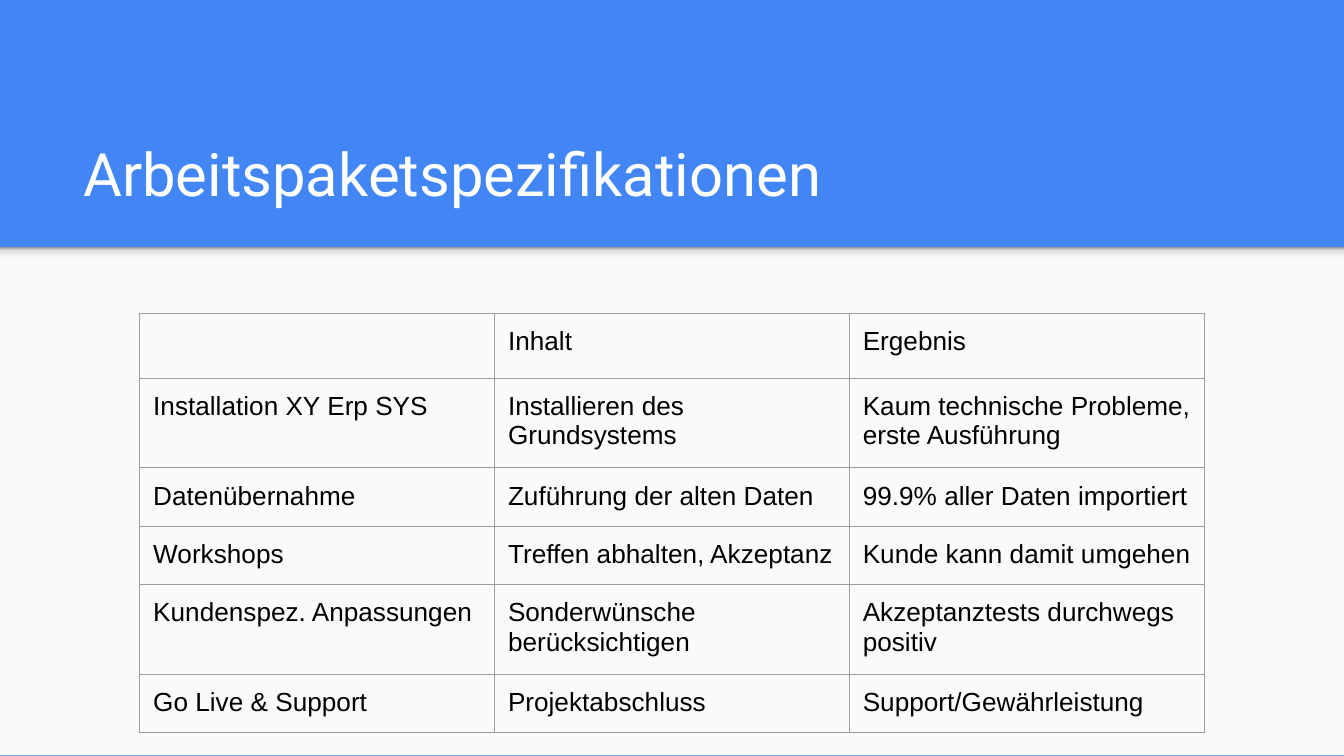
from lxml import etree
from pptx import Presentation
from pptx.dml.color import RGBColor as Rgb
from pptx.enum.shapes import MSO_SHAPE as Kind
from pptx.enum.text import MSO_ANCHOR as Anchor
from pptx.oxml import parse_xml
from pptx.oxml.ns import nsdecls, qn
from pptx.util import Inches, Pt

THEME = {
    "blue": "4285F4", "paper": "FAFAFA", "rule": "9E9E9E", "rule_pt": 0.75,
    "shade": [(0, "F9F9F9"), (36, "F9F9F9"), (80, "DEDEDE"), (100, "999999")],
    "title": {"name": "Roboto", "size": Pt(32), "color": "FFFFFF"},
    "body": {"name": "Arial", "size": Pt(14), "color": "000000"},
    "empty_pt": 17,
}
PADS = {f"margin_{side}": Inches(0.1) for side in ("left", "top", "right", "bottom")}

ROWS = [
    ("", "Inhalt", "Ergebnis"),
    ("Installation XY Erp SYS", "Installieren des Grundsystems",
     "Kaum technische Probleme, erste Ausführung"),
    ("Datenübernahme", "Zuführung der alten Daten", "99.9% aller Daten importiert"),
    ("Workshops", "Treffen abhalten, Akzeptanz", "Kunde kann damit umgehen"),
    ("Kundenspez. Anpassungen", "Sonderwünsche berücksichtigen",
     "Akzeptanztests durchwegs positiv"),
    ("Go Live & Support", "Projektabschluss", "Support/Gewährleistung"),
]


def apply(item, values):
    """Set each attribute of item from a dict."""
    for key, value in values.items():
        setattr(item, key, value)


def write(frame, text, style):
    """Put one styled run into a text frame."""
    run = frame.paragraphs[0].add_run()
    run.text = text
    apply(run.font, {key: style[key] for key in ("name", "size")})
    run.font.color.rgb = Rgb.from_string(style["color"])


def leave_empty(frame):
    """Give a frame without text its font, which sets the line height."""
    para = frame.paragraphs[0]._p
    mark = etree.SubElement(para, qn("a:endParaRPr"), sz=str(THEME["empty_pt"] * 100))
    etree.SubElement(mark, qn("a:latin"), typeface=THEME["body"]["name"])


def add_rect(slide, box):
    """Add a rectangle without line or shadow."""
    rect = slide.shapes.add_shape(Kind.RECTANGLE, *map(Inches, box))
    rect.shadow.inherit = False
    rect.line.fill.background()
    return rect


def add_panel(slide, box):
    """Add the light panel with a soft shade along its top edge."""
    left, top, width, _ = box
    panel = add_rect(slide, box)
    panel.fill.solid()
    panel.fill.fore_color.rgb = Rgb.from_string(THEME["paper"])
    shade = add_rect(slide, (left, top, width, 0.12))
    shade.fill.gradient()
    shade.fill.gradient_angle = 90
    stops = shade.element.spPr.find(".//" + qn("a:gsLst"))
    for stop in list(stops):
        stops.remove(stop)
    for place, color in THEME["shade"]:
        stop = etree.SubElement(stops, qn("a:gs"), pos=str(place * 1000))
        etree.SubElement(stop, qn("a:srgbClr"), val=color)


def add_title(slide, box, text):
    """Add the title, resting on the bottom of its box."""
    frame = slide.shapes.add_textbox(*map(Inches, box)).text_frame
    apply(frame, {**PADS, "word_wrap": True, "vertical_anchor": Anchor.BOTTOM})
    write(frame, text, THEME["title"])


def add_rules(cell):
    """Draw a thin line on all four sides of a cell."""
    for spot, side in enumerate("LRTB"):
        line = parse_xml(
            f'<a:ln{side} {nsdecls("a")} w="{Pt(THEME["rule_pt"])}"><a:solidFill>'
            f'<a:srgbClr val="{THEME["rule"]}"/></a:solidFill></a:ln{side}>')
        cell._tc.get_or_add_tcPr().insert(spot, line)


def add_grid(slide, box, rows):
    """Add the ruled table with equal columns and rows that grow with their text."""
    count = len(rows[0])
    table = slide.shapes.add_table(len(rows), count, *map(Inches, box)).table
    apply(table, {"first_row": False, "horz_banding": False})
    for col in table.columns:
        col.width = Inches(box[2] / count)
    for row, texts in zip(table.rows, rows):
        row.height = Inches(box[3] / len(rows))
        for cell, text in zip(row.cells, texts):
            apply(cell, PADS)
            cell.fill.background()
            add_rules(cell)
            if text:
                write(cell.text_frame, text, THEME["body"])
            else:
                leave_empty(cell.text_frame)


def build():
    """Build the slide and save it."""
    deck = Presentation()
    wide = Inches(10)
    apply(deck, {"slide_width": wide, "slide_height": wide * 9 // 16})
    slide = deck.slides.add_slide(deck.slide_layouts[6])
    back = slide.background.fill
    back.solid()
    back.fore_color.rgb = Rgb.from_string(THEME["blue"])
    add_panel(slide, (0, 1.84, 10, 3.78))
    add_title(slide, (0.52, 0.81, 8.99, 0.84), "Arbeitspaketspezifikationen")
    add_grid(slide, (1.04, 2.33, 7.92, 2.52), ROWS)
    deck.save("out.pptx")


build()
